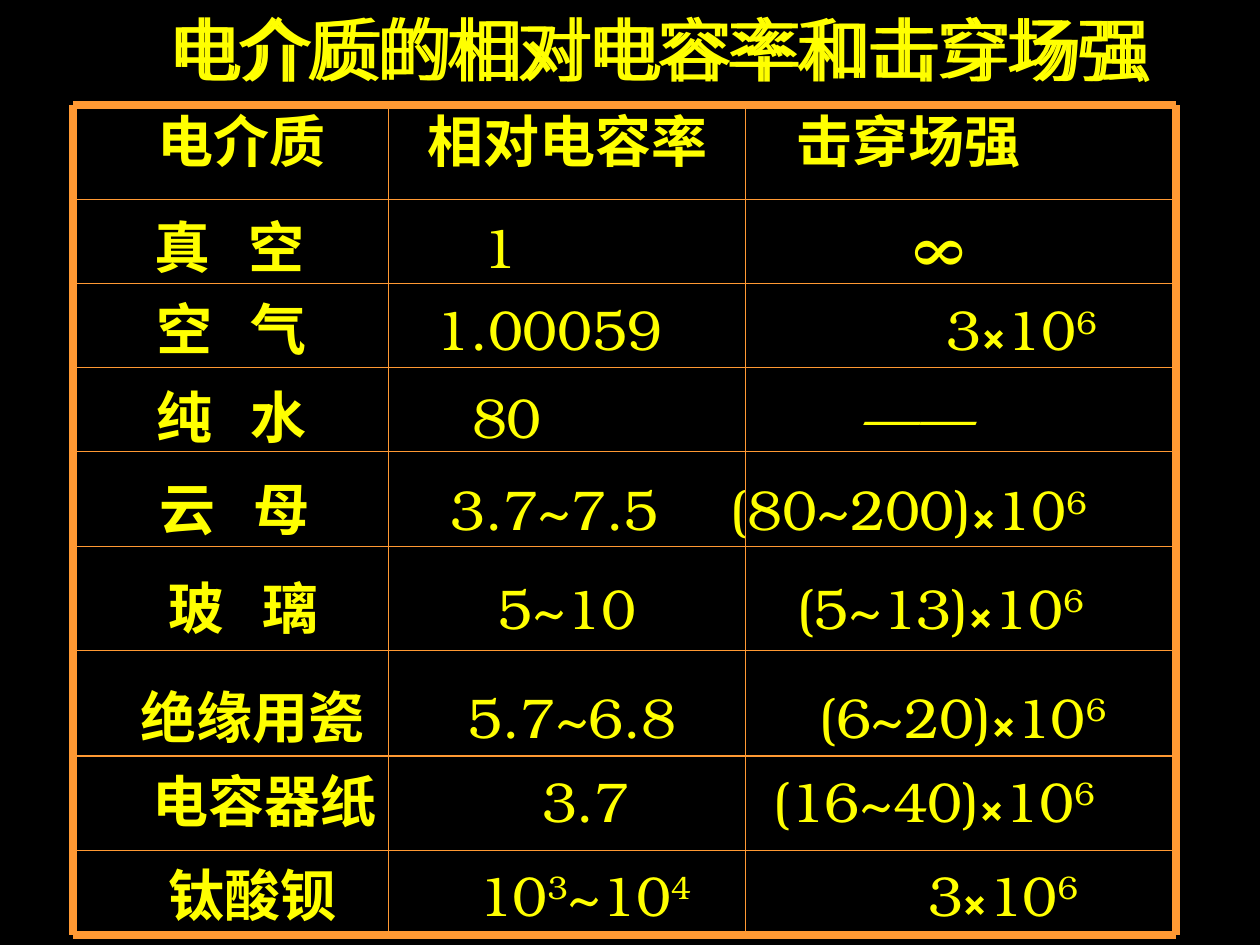
from lxml import etree
from pptx import Presentation
from pptx.dml.color import RGBColor
from pptx.enum.shapes import MSO_CONNECTOR
from pptx.oxml.ns import qn
from pptx.util import Cm, Pt

STRAIGHT = MSO_CONNECTOR.STRAIGHT
YELLOW, ORANGE, BLACK = "FFFF00", "FF9933", "000000"
THICK, THIN = 4.5, 0.75
INSET = 0.25

TITLE = "电介质的相对电容率和击穿场强"
ROW_EDGES = [2.12, 4.02, 5.72, 7.41, 9.1, 11.01, 13.12, 15.24, 17.15, 18.84]
COL_EDGES = [1.48, 7.83, 15.03, 23.71]
TIMES_MILLION = ["×", "10", "^6"]

# Left, top and width of a row, where its second and third columns start,
# and the text pieces of each column. A piece that starts with ^ is a superscript.
ROWS = [
    (2.92, 2.03, 17.91, (8.62, 16.05), (["电介质"], ["相对电容率"], ["击穿场强"])),
    (2.87, 3.38, 18.11, (9.73, 18.41), (["真", " ", "空"], ["1"], ["∞"])),
    (2.9, 5.82, 19.48, (8.78, 19.09),
     (["空", " ", "气"], ["1.00059"], ["3", *TIMES_MILLION])),
    (2.9, 7.59, 17.04, (9.52, 17.43), (["纯", " ", "水"], ["80"], ["——"])),
    (2.97, 9.45, 19.2, (9.08, 14.73),
     (["云", " ", "母"], ["3.7~7.5"], ["(80~200)", *TIMES_MILLION])),
    (3.15, 11.43, 18.95, (10.04, 16.07),
     (["玻", " ", "璃"], ["5~10"], ["(5~13)", *TIMES_MILLION])),
    (2.59, 13.64, 19.96, (9.43, 16.52),
     (["绝缘用瓷"], ["5.7~6.8"], ["(6~20)", *TIMES_MILLION])),
    (2.82, 15.32, 19.51, (10.93, 15.59),
     (["电容器纸"], ["3.7"], ["(16~40)", *TIMES_MILLION])),
    (3.15, 17.22, 19.23, (9.64, 18.71),
     (["钛酸钡"], ["10", "^3", "~10", "^4"], ["3", *TIMES_MILLION])),
]


def rgb(color):
    return RGBColor.from_string(color)


class Deck:
    font = "TeX Gyre Bonum"
    title_size, size, tall_size = 40, 32, 54
    special_sizes = {"×": 24, "∞": 36}

    def __init__(self, prs):
        self.slide = prs.slides.add_slide(prs.slide_layouts[6])
        fill = self.slide.background.fill
        fill.solid()
        fill.fore_color.rgb = rgb(BLACK)

    def run(self, p, text, size, bold=False):
        r = p.add_run()
        r.text = text
        r.font.name = self.font
        r.font.size = Pt(size)
        r.font.bold = bold
        r.font.color.rgb = rgb(YELLOW)
        return r

    def textbox(self, left, top, width, height):
        sp = self.slide.shapes.add_textbox(Cm(left), Cm(top), Cm(width), Cm(height))
        return sp.text_frame

    def title(self, left, top, width, height, text):
        tf = self.textbox(left, top, width, height)
        tf.word_wrap = False
        self.run(tf.paragraphs[0], text, self.title_size)

    def pieces(self, p, pieces, bold):
        """Write the pieces as runs, with superscripts and wide gaps."""
        for piece in pieces:
            r = self.run(p, piece.lstrip("^"), self.special_sizes.get(piece, self.size),
                         bold or piece == "×")
            if piece.startswith("^"):
                r.font._element.set("baseline", "30000")
            elif piece == " ":
                r.font._element.set("spc", "1450")

    def row(self, left, top, width, starts, columns, header):
        tf = self.textbox(left, top, width, 1.63)
        tf.word_wrap = True
        tf.margin_right = 0
        p = tf.paragraphs[0]
        tabs = etree.SubElement(p._p.get_or_add_pPr(), qn("a:tabLst"))
        for start in starts:
            etree.SubElement(tabs, qn("a:tab"), pos=str(Cm(start - left - INSET)), algn="l")
        for i, pieces in enumerate(columns):
            if i:
                self.run(p, "\t", self.tall_size if "∞" in pieces else self.size)
            self.pieces(p, pieces, header or i == 0)

    def line(self, x1, y1, x2, y2, width):
        line = self.slide.shapes.add_connector(STRAIGHT, Cm(x1), Cm(y1), Cm(x2), Cm(y2))
        line.line.color.rgb = rgb(ORANGE)
        line.line.width = Pt(width)
        etree.SubElement(line._element.spPr, qn("a:effectLst"))

    def grid(self, xs, ys):
        for y in ys:
            self.line(xs[0], y, xs[-1], y, THICK if y in (ys[0], ys[-1]) else THIN)
        for x in xs:
            self.line(x, ys[-1], x, ys[0], THICK if x in (xs[0], xs[-1]) else THIN)


def main():
    prs = Presentation()
    prs.slide_width, prs.slide_height = Cm(25.4), Cm(19.05)
    deck = Deck(prs)
    for left in (3.25, 3.12):
        deck.title(left, 0, 20.24, 1.96, TITLE)
    for i, row in enumerate(ROWS):
        deck.row(*row, header=i == 0)
    deck.grid(COL_EDGES, ROW_EDGES)
    prs.save("out.pptx")


if __name__ == "__main__":
    main()
